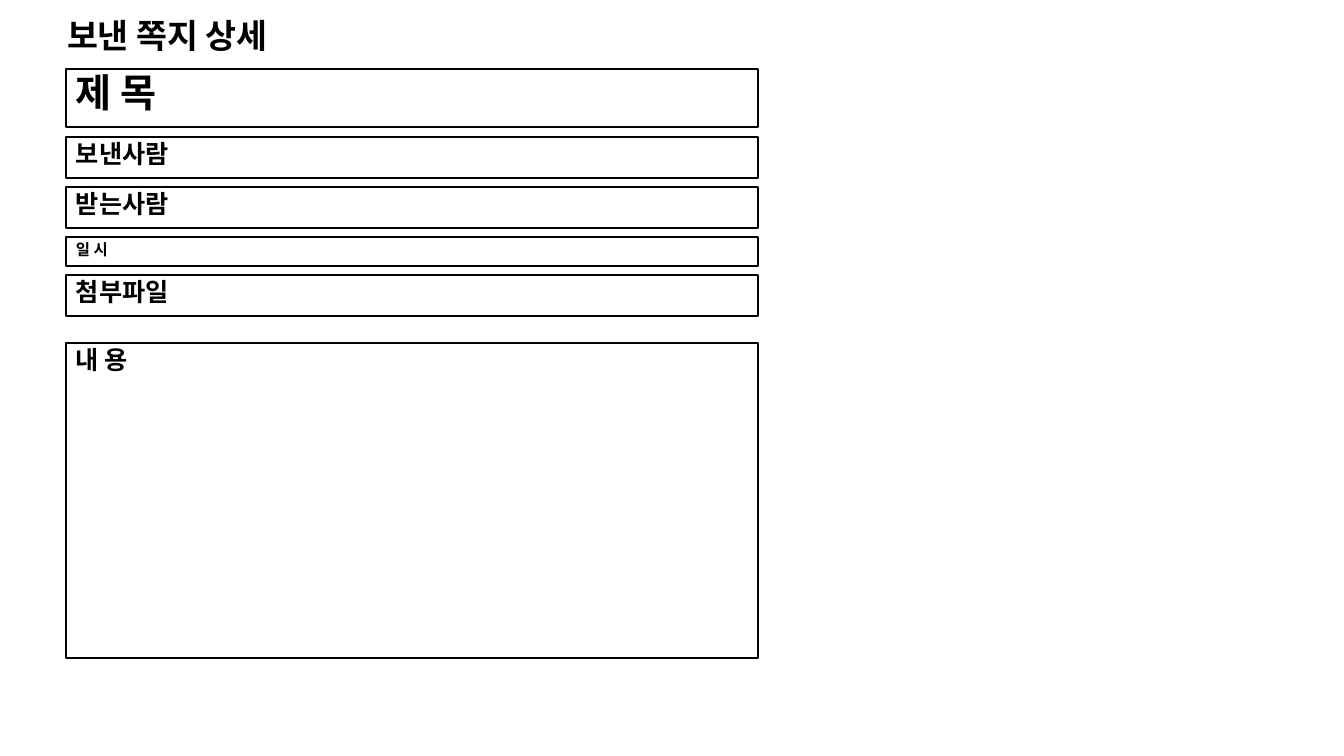
import pptx
import pptx.util
import pptx.dml.color
import pptx.enum.shapes
import pptx.enum.text
from lxml import etree

PX = 914400 / 100.8
BLACK = pptx.dml.color.RGBColor(0, 0, 0)
FONT = "Noto Sans CJK KR"


def px(*lengths):
    """Turn px into EMU."""
    return [pptx.util.Emu(round(n * PX)) for n in lengths]


def write(sp, text, size=18, bold=True, color=BLACK, font=FONT, spacing=0.89):
    tf = sp.text_frame
    tf.word_wrap = True
    tf.auto_size = pptx.enum.text.MSO_AUTO_SIZE.NONE
    tf.vertical_anchor = pptx.enum.text.MSO_ANCHOR.TOP
    p = tf.paragraphs[0]
    p.alignment = pptx.enum.text.PP_ALIGN.LEFT
    p.line_spacing = spacing
    p.space_before = pptx.util.Pt(0)
    r = p.add_run()
    r.text = text
    r.font.size = pptx.util.Pt(size)
    r.font.bold = bold
    r.font.color.rgb = color
    r.font.name = font
    # Hangul takes the East Asian typeface
    ea = etree.SubElement(r.font._element, pptx.oxml.ns.qn("a:ea"))
    ea.set("typeface", font)


prs = pptx.Presentation()
prs.slide_width, prs.slide_height = px(1344, 756)
s = prs.slides.add_slide(prs.slide_layouts[5])

title = s.shapes.title
title.left, title.top, title.width, title.height = px(57, 15, 324, 50)
write(title, "보낸 쪽지 상세", size=24)

# label, top, height, text size
fields = [
    ("제 목", 69, 58, 28),
    ("보낸사람", 137, 41, 18),
    ("받는사람", 187, 41, 18),
    ("일 시", 237, 29, 11),
    ("첨부파일", 275, 41, 18),
    ("내 용", 343, 315, 18),
]
for label, top, height, size in fields:
    sp = s.shapes.add_shape(pptx.enum.shapes.MSO_SHAPE.RECTANGLE, *px(66, top, 692, height))
    sp.shadow.inherit = False
    sp.fill.background()
    sp.line.color.rgb = BLACK
    sp.line.width = pptx.util.Pt(1)
    write(sp, label, size=size)

prs.save("out.pptx")
